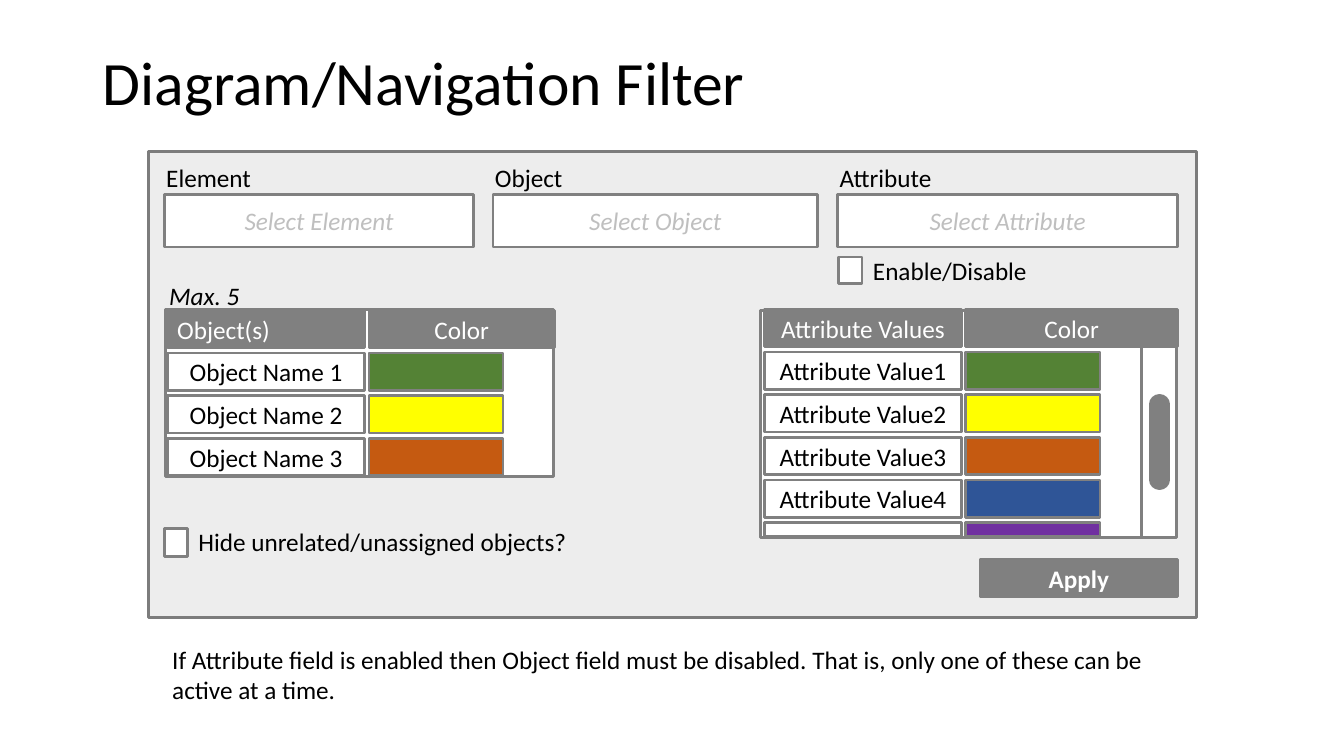
from lxml import etree
from pptx import Presentation
from pptx.dml.color import RGBColor
from pptx.enum.shapes import MSO_CONNECTOR, MSO_SHAPE
from pptx.enum.text import MSO_ANCHOR, PP_ALIGN
from pptx.oxml.ns import qn
from pptx.util import Inches, Pt

RECTANGLE = MSO_SHAPE.RECTANGLE
STRAIGHT = MSO_CONNECTOR.STRAIGHT
LEFT, CENTER = PP_ALIGN.LEFT, PP_ALIGN.CENTER
TOP, MIDDLE = MSO_ANCHOR.TOP, MSO_ANCHOR.MIDDLE

FONT = "Calibri"
BLACK, WHITE, GRAY = "000000", "FFFFFF", "808080"
PANEL_FILL, PANEL_LINE, HINT = "EDEDED", "7C7C7C", "BFBFBF"
GREEN, YELLOW, ORANGE = "548235", "FFFF00", "C55A11"
BLUE, PURPLE = "2F5597", "7030A0"

GRID_COLUMNS, GRID_ROWS = 133.3, 75
SLIDE_WIDTH, SLIDE_HEIGHT = Inches(13.33), Inches(7.5)
LABEL_HEIGHT = 4
CELL_WIDTH, CELL_HEIGHT = 19.6, 3.7
SWATCH_WIDTH = 13.3
COLUMN_PITCH, ROW_PITCH = 20, 4.23


def across(columns):
    return round(SLIDE_WIDTH * columns / GRID_COLUMNS)


def down(rows):
    return round(SLIDE_HEIGHT * rows / GRID_ROWS)


def place(left, top, width, height):
    return across(left), down(top), across(width), down(height)


def color(value):
    return RGBColor.from_string(value)


def write(shape, text, ink, align=LEFT, anchor=TOP, size=18, bold=False, italic=False):
    frame = shape.text_frame
    frame.word_wrap = True
    frame.vertical_anchor = anchor
    paragraph = frame.paragraphs[0]
    paragraph.alignment = align
    run = paragraph.add_run()
    run.text = text
    run.font.name = FONT
    run.font.size = Pt(size)
    run.font.bold = bold
    run.font.italic = italic
    run.font.color.rgb = color(ink)
    return paragraph


def add_label(slide, box, text, **style):
    shape = slide.shapes.add_textbox(*place(*box))
    return write(shape, text, BLACK, **style)


def add_box(slide, box, fill=WHITE, line=GRAY, text="", ink=BLACK, align=CENTER, **style):
    shape = slide.shapes.add_shape(RECTANGLE, *place(*box))
    shape.shadow.inherit = False
    shape.fill.solid()
    shape.fill.fore_color.rgb = color(fill)
    shape.line.color.rgb = color(line)
    shape.line.width = Pt(2)
    if text:
        write(shape, text, ink, align, MIDDLE, **style)


def add_vertical_line(slide, column, top, bottom, width, round_ends=False):
    line = slide.shapes.add_connector(
        STRAIGHT, across(column), down(top), across(column), down(bottom)
    )
    line.line.color.rgb = color(GRAY)
    line.line.width = Pt(width)
    properties = line._element.spPr
    if round_ends:
        properties.find(qn("a:ln")).set("cap", "rnd")
    etree.SubElement(properties, qn("a:effectLst"))


def add_select_field(slide, left, width, name):
    add_label(slide, (left - 0.8, 15.6, 26.8, LABEL_HEIGHT), name)
    add_box(slide, (left, 19.3, width, 5.2), text=f"Select {name}", ink=HINT, italic=True)


def add_checkbox(slide, left, top, height, width, text):
    add_box(slide, (left, top, 2.3, height))
    add_label(slide, (left + 2.4, top - 0.65, width, LABEL_HEIGHT), text)


def add_color_list(slide, frame, left, top, heading, heading_align, color_width, rows):
    swatch_left = left + COLUMN_PITCH
    add_box(slide, frame)
    add_box(slide, (left, top, CELL_WIDTH, CELL_HEIGHT), GRAY,
            text=heading, ink=WHITE, align=heading_align)
    add_box(slide, (swatch_left, top, color_width, CELL_HEIGHT), GRAY,
            text="Color", ink=WHITE)
    for index, (name, swatch) in enumerate(rows, 1):
        row_top = top + index * ROW_PITCH
        height = CELL_HEIGHT if name else 1.4
        add_box(slide, (left, row_top, CELL_WIDTH, height), text=name)
        add_box(slide, (swatch_left, row_top, SWATCH_WIDTH, height), swatch)


def main():
    presentation = Presentation()
    presentation.slide_width = SLIDE_WIDTH
    presentation.slide_height = SLIDE_HEIGHT
    slide = presentation.slides.add_slide(presentation.slide_layouts[6])

    title = add_label(slide, (9.2, 4, 115, 9), "Diagram/Navigation Filter",
                      anchor=MIDDLE, size=44)
    title.line_spacing = 0.9

    add_box(slide, (14.7, 15, 104, 46.3), PANEL_FILL, PANEL_LINE)
    for left, width, name in (
        (16.3, 30.7, "Element"),
        (48.9, 32.2, "Object"),
        (83.1, 33.7, "Attribute"),
    ):
        add_select_field(slide, left, width, name)

    add_checkbox(slide, 83.2, 25.5, 2.6, 26.8, "Enable/Disable")
    add_checkbox(slide, 16.3, 52.4, 2.8, 43.2, "Hide unrelated/unassigned objects?")

    swatches = (GREEN, YELLOW, ORANGE, BLUE)
    objects = [(f"Object Name {n}", swatch) for n, swatch in enumerate(swatches[:3], 1)]
    values = [(f"Attribute Value{n}", swatch) for n, swatch in enumerate(swatches, 1)]
    add_color_list(slide, (16.4, 30.7, 38.5, 16.6), 16.6, 30.8,
                   "Object(s)", LEFT, 18.4, objects)
    add_color_list(slide, (75.4, 30.8, 41.3, 22.5), 75.8, 30.7,
                   "Attribute Values", CENTER, 21, values + [("", PURPLE)])
    add_vertical_line(slide, 113.2, 34.5, 53.3, 2)
    add_vertical_line(slide, 115, 40.1, 47.6, 14.5, round_ends=True)

    add_box(slide, (97.2, 55.5, CELL_WIDTH, CELL_HEIGHT), GRAY,
            text="Apply", ink=WHITE, bold=True)
    add_label(slide, (15.8, 27.3, 10.6, LABEL_HEIGHT), "Max. 5", italic=True)
    add_label(slide, (16.1, 63.4, 101.2, 7.1),
              "If Attribute field is enabled then Object field must be disabled. "
              "That is, only one of these can be active at a time.")
    presentation.save("out.pptx")


if __name__ == "__main__":
    main()
